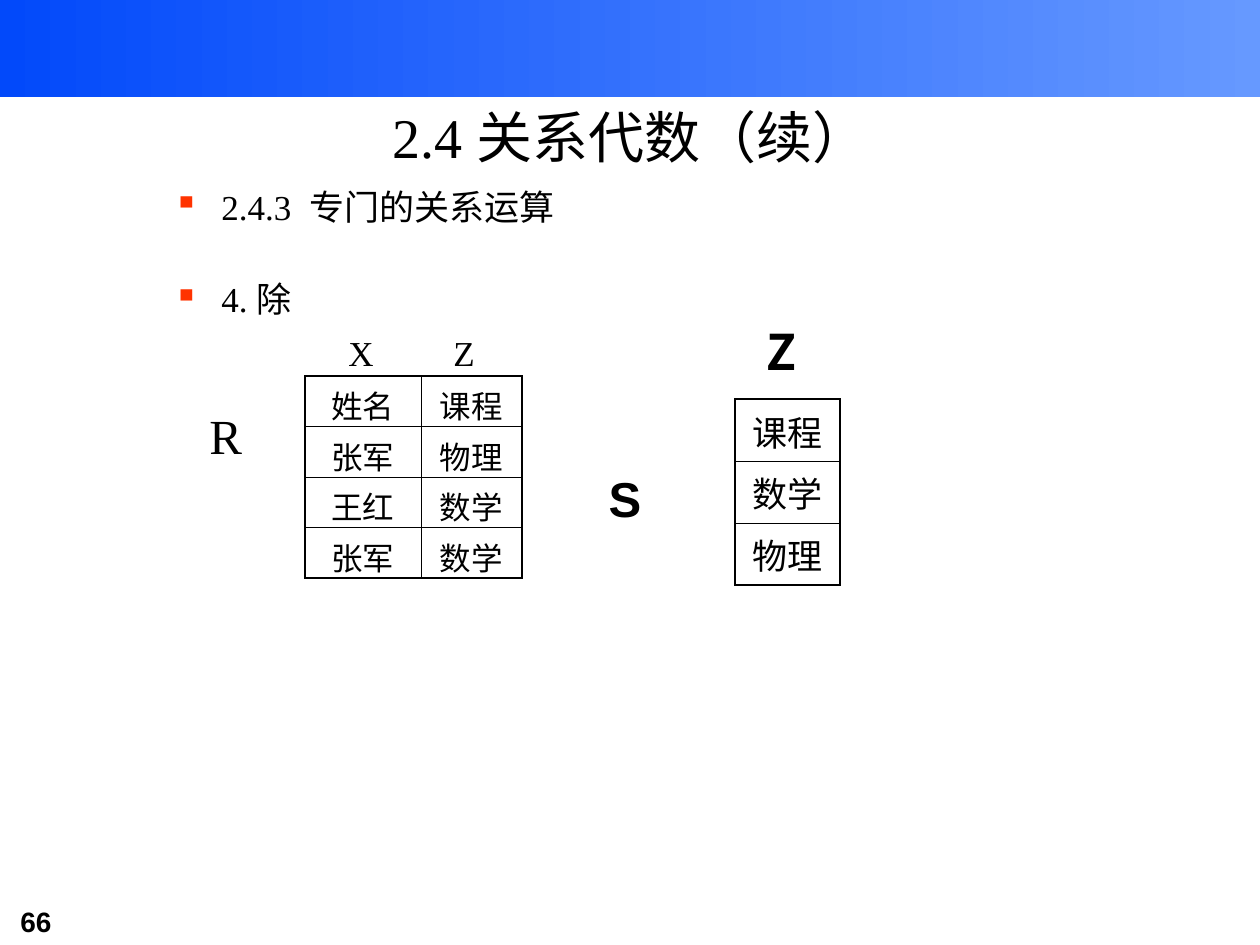
from lxml import etree
from pptx import Presentation
from pptx.dml.color import RGBColor
from pptx.enum.shapes import MSO_SHAPE
from pptx.enum.text import MSO_ANCHOR, PP_ALIGN
from pptx.oxml.ns import qn
from pptx.util import Pt

EMU_PER_PX = 914400 / 126
BLACK = RGBColor(0x00, 0x00, 0x00)
DEEP_BLUE = RGBColor(0x02, 0x49, 0xFA)
LIGHT_BLUE = RGBColor(0x66, 0x99, 0xFF)
BULLET_RED = RGBColor(0xFF, 0x33, 0x00)
SERIF = "Times New Roman"
SANS = "Arial"
CJK = "Noto Sans CJK SC"
LEFT, CENTER = PP_ALIGN.LEFT, PP_ALIGN.CENTER
RECTANGLE = MSO_SHAPE.RECTANGLE
MIDDLE, TOP = MSO_ANCHOR.MIDDLE, MSO_ANCHOR.TOP
OUTER_LINE, INNER_LINE = Pt(1.08), Pt(0.45)


def px(*lengths):
    return [round(length * EMU_PER_PX) for length in lengths]


def format_text(paragraph, size, font=SERIF, bold=False, align=LEFT):
    paragraph.alignment = align
    for run in paragraph.runs:
        run.font.name = font
        run.font.size = Pt(size)
        run.font.bold = bold
        run.font.color.rgb = BLACK


presentation = Presentation()
presentation.slide_width, presentation.slide_height = px(1260, 945)
slide = presentation.slides.add_slide(presentation.slide_layouts[5])

# Gradient band across the top
band = slide.shapes.add_shape(RECTANGLE, *px(0, 0, 1260, 97))
band.shadow.inherit = False
band.line.fill.background()
band.fill.gradient()
band.fill.gradient_angle = 0
for stop, color in zip(band.fill.gradient_stops, (DEEP_BLUE, LIGHT_BLUE)):
    stop.color.rgb = color

# Title
title = slide.shapes.title
title.left, title.top, title.width, title.height = px(95, 84, 1071, 105)
title.text_frame.text = "2.4 关系代数（续）"
title.text_frame.vertical_anchor = MIDDLE
format_text(title.text_frame.paragraphs[0], 32, align=CENTER)

# Body: two bulleted lines and the name of relation R
body = slide.shapes.add_textbox(*px(161, 179, 1071, 662)).text_frame
body.word_wrap = True
body_lines = [  # text, size, space before, bulleted
    ("2.4.3  专门的关系运算", 20, 0, True),
    ("4. 除", 20, 29, True),
    ("R", 28, 49, False),
]
for index, (text, size, space_before, bulleted) in enumerate(body_lines):
    paragraph = body.paragraphs[0] if index == 0 else body.add_paragraph()
    paragraph.text = text
    paragraph.space_before = Pt(space_before)
    properties = paragraph._p.get_or_add_pPr()
    margin, indent = px(48, -48) if bulleted else px(36, 0)
    properties.set("marL", str(margin))
    properties.set("indent", str(indent))
    if bulleted:
        bullet_color = etree.SubElement(properties, qn("a:buClr"))
        etree.SubElement(bullet_color, qn("a:srgbClr"), val=str(BULLET_RED))
        etree.SubElement(properties, qn("a:buChar"), char="▪")
    format_text(paragraph, size)

# Labels and page number
labels = [  # text, box, size, font, bold, alignment
    ("X", (336, 325, 63, 55), 20, SERIF, False, LEFT),
    ("Z", (441, 325, 73, 55), 20, SERIF, False, LEFT),
    ("S", (557, 462, 136, 72), 28, SANS, True, CENTER),
    ("Z", (714, 315, 136, 72), 28, CJK, True, CENTER),
    ("66", (8, 898, 154, 47), 16, SANS, True, LEFT),
]
for text, box, size, font, bold, align in labels:
    frame = slide.shapes.add_textbox(*px(*box)).text_frame
    frame.word_wrap = True
    frame.text = text
    format_text(frame.paragraphs[0], size, font, bold, align)

# Relations R and S
relations = [  # left, top, column widths, row height, text size, rows
    (305, 376, (116, 101), 50, 18,
     [("姓名", "课程"), ("张军", "物理"), ("王红", "数学"), ("张军", "数学")]),
    (735, 399, (105,), 62, 20, [("课程",), ("数学",), ("物理",)]),
]
for left, top, widths, row_height, size, rows in relations:
    box = px(left, top, sum(widths), row_height * len(rows))
    table = slide.shapes.add_table(len(rows), len(widths), *box).table
    table.first_row = False
    table.horz_banding = False
    for column, width in zip(table.columns, px(*widths)):
        column.width = width
    for row_index, row in enumerate(rows):
        for column_index, text in enumerate(row):
            cell = table.cell(row_index, column_index)
            cell.text_frame.text = text
            cell.vertical_anchor = TOP
            format_text(cell.text_frame.paragraphs[0], size, align=CENTER)

            # Heavier lines around the outside than between cells
            outer_sides = {
                "a:lnL": column_index == 0,
                "a:lnR": column_index == len(widths) - 1,
                "a:lnT": row_index == 0,
                "a:lnB": row_index == len(rows) - 1,
            }
            cell_properties = cell._tc.get_or_add_tcPr()
            for side, is_outer in outer_sides.items():
                line_width = OUTER_LINE if is_outer else INNER_LINE
                line = etree.SubElement(cell_properties, qn(side), w=str(line_width))
                fill = etree.SubElement(line, qn("a:solidFill"))
                etree.SubElement(fill, qn("a:srgbClr"), val=str(BLACK))
            cell.fill.background()

presentation.save("out.pptx")
